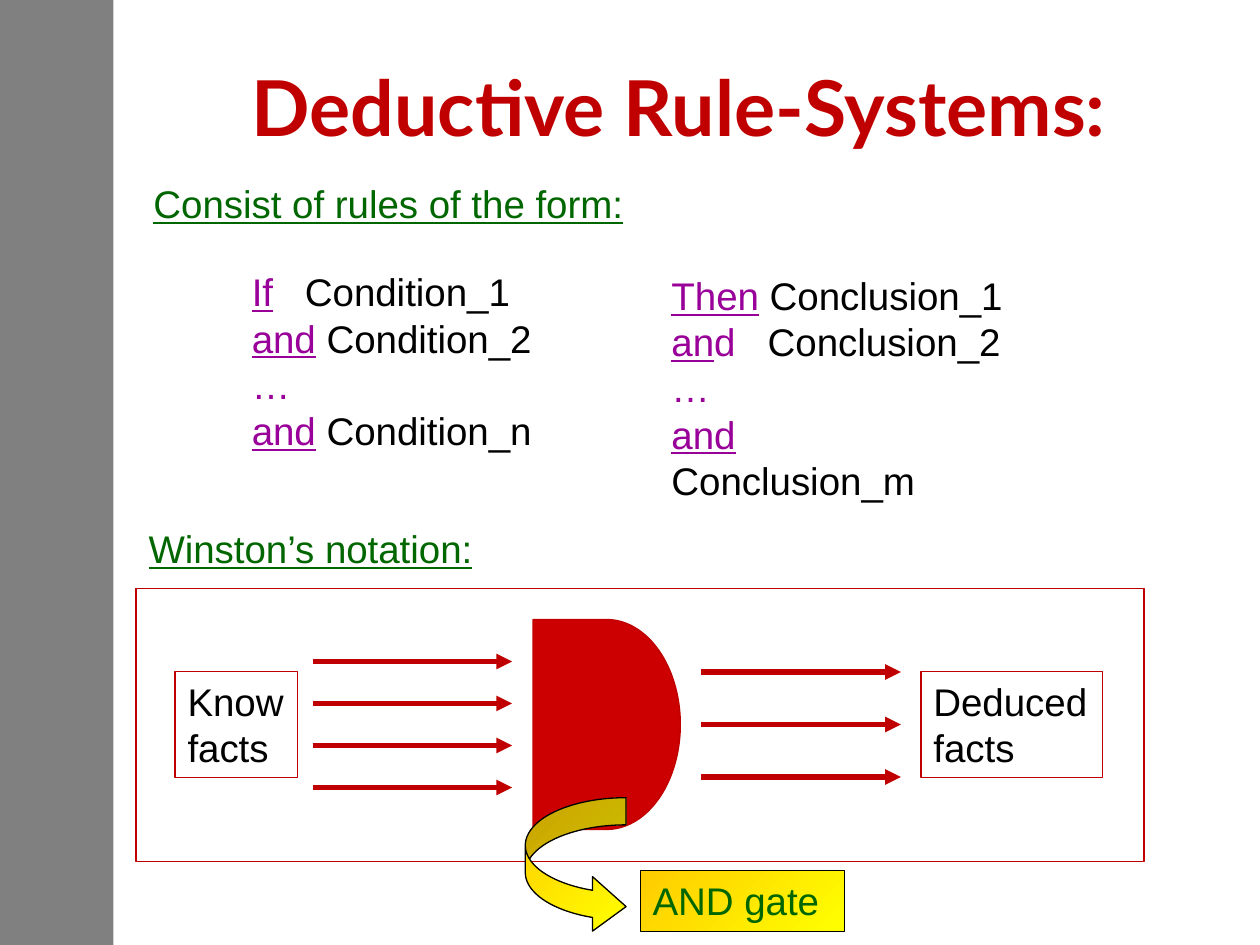
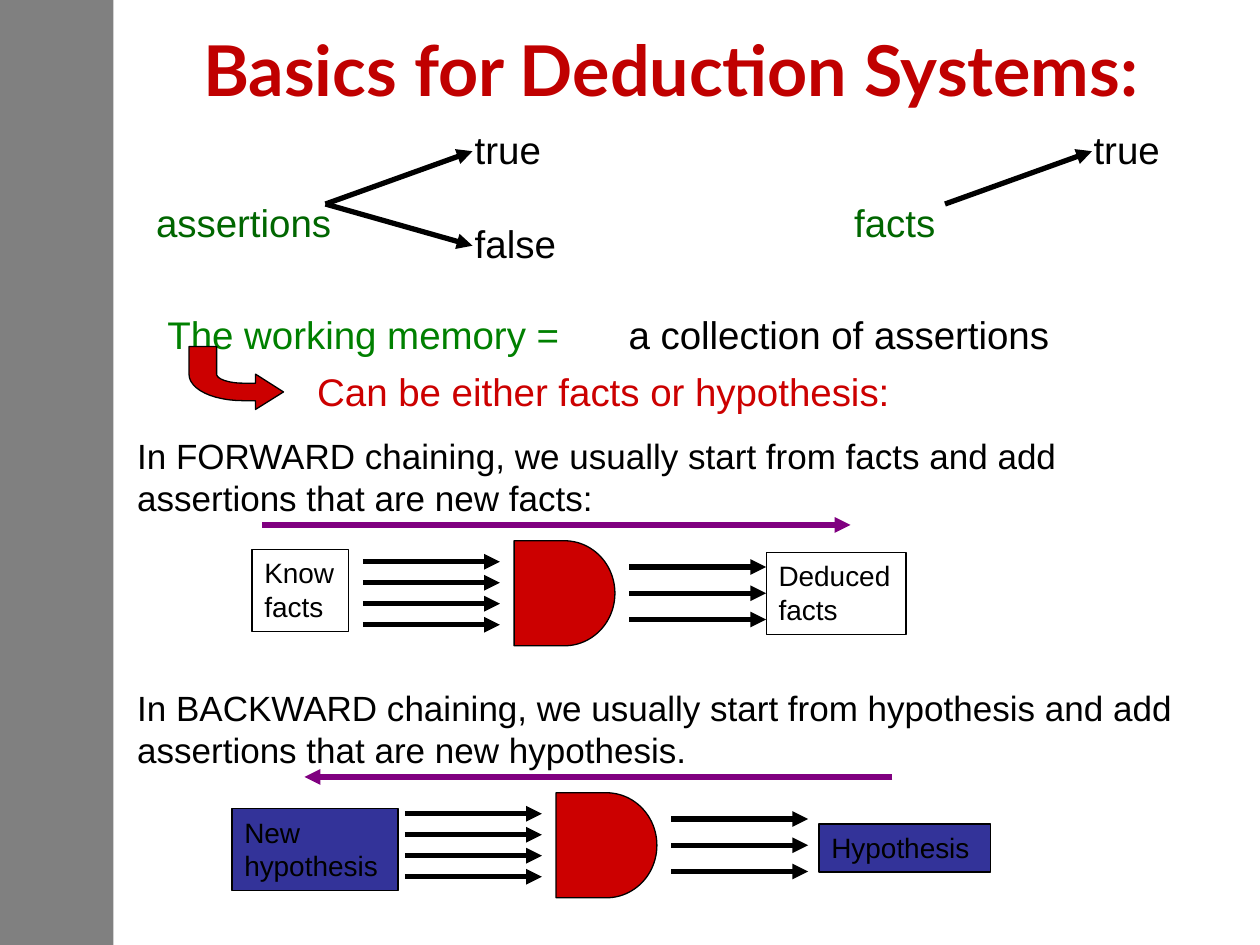
from lxml.etree import SubElement
from pptx import Presentation
from pptx.dml.color import RGBColor
from pptx.enum.shapes import MSO_CONNECTOR as Connector, MSO_SHAPE as Preset
from pptx.enum.text import MSO_ANCHOR as Anchor, MSO_AUTO_SIZE as AutoSize, PP_ALIGN as Align
from pptx.oxml.ns import qn
from pptx.util import Pt

BLACK, WHITE, GRAY = "000000", "FFFFFF", "808080"
TITLE_RED, GATE_RED = "C00000", "CC0000"
GREEN, MEMORY_GREEN = "006600", "008000"
KEYWORD, DIRECTION, HYPOTHESIS = "990099", "800080", "333399"
GOLD = ("FFCC00", "FFFF00")


def rgb(color):
    """Turn a hex string into a colour."""
    return RGBColor.from_string(color)


def paint(shape, fill=None, outline=None):
    """Fill and outline a shape; a pair of colours makes a diagonal gradient."""
    if isinstance(fill, tuple):
        shape.fill.gradient()
        shape.fill.gradient_angle = 315
        for stop, color in zip(shape.fill.gradient_stops, fill):
            stop.color.rgb = rgb(color)
    elif fill:
        shape.fill.solid()
        shape.fill.fore_color.rgb = rgb(fill)
    else:
        shape.fill.background()
    if outline:
        shape.line.color.rgb = rgb(outline)
        shape.line.width = Pt(0.75)
    else:
        shape.line.fill.background()


def add_preset(slide, kind, box, fill=None, outline=None):
    """Add a preset shape without shadow."""
    shape = slide.shapes.add_shape(kind, *map(Pt, box))
    shape.shadow.inherit = False
    paint(shape, fill, outline)
    return shape


def style(font, size, color, underline=False, name="Arial", bold=False):
    """Set all the traits of a font."""
    font.name, font.size, font.bold, font.underline = name, Pt(size), bold, underline
    font.color.rgb = rgb(color)


def add_label(slide, box, text, size=22, color=BLACK, underline=False,
              wrap=False, fill=None, outline=None):
    """Add text of one style, one paragraph per line."""
    label = slide.shapes.add_textbox(*map(Pt, box))
    paint(label, fill, outline)
    frame = label.text_frame
    frame.word_wrap = wrap
    frame.auto_size = AutoSize.SHAPE_TO_FIT_TEXT
    frame.text = text
    for paragraph in frame.paragraphs:
        style(paragraph.font, size, color, underline)
    return label


def add_clauses(slide, box, clauses, tab):
    """Add rule clauses made of (text, colour, underline) runs, with one tab stop."""
    frame = slide.shapes.add_textbox(*map(Pt, box)).text_frame
    frame.word_wrap = True
    for index, clause in enumerate(clauses):
        paragraph = frame.add_paragraph() if index else frame.paragraphs[0]
        stops = SubElement(paragraph._p.get_or_add_pPr(), qn("a:tabLst"))
        SubElement(stops, qn("a:tab"), pos=str(Pt(tab)), algn="l")
        paragraph.font.name, paragraph.font.size = "Arial", Pt(22)
        for text, color, underline in clause:
            if text == "\n":
                paragraph.add_line_break()
                continue
            run = paragraph.add_run()
            run.text = text
            run.font.color.rgb = rgb(color)
            run.font.underline = underline


def add_arrow(slide, start, end, color=BLACK):
    """Add a thick straight arrow."""
    arrow = slide.shapes.add_connector(Connector.STRAIGHT, *map(Pt, start + end))
    arrow.line.color.rgb = rgb(color)
    arrow.line.width = Pt(3)
    SubElement(arrow.line._get_or_add_ln(), qn("a:tailEnd"), type="triangle")
    SubElement(arrow._element.spPr, qn("a:effectLst"))
    return arrow


def add_gate(slide, left, middle, width, height, gap, reach, ink, arrow_ink):
    """Draw an AND gate with four inputs and three outputs; return the outputs."""
    add_preset(slide, Preset.FLOWCHART_DELAY,
               (left, middle - height / 2, width, height), GATE_RED, ink)
    for row in range(4):
        y = middle + (row - 1.5) * height / 5
        add_arrow(slide, (left - gap - reach, y), (left - gap, y), arrow_ink)
    start = left + width + gap
    levels = [middle + row * height / 4 for row in (-1, 0, 1)]
    return [add_arrow(slide, (start, y), (start + reach, y), arrow_ink) for y in levels]


def curve(start, control_1, control_2, end, steps=12):
    """Sample a cubic Bezier curve after its start."""
    points = []
    for step in range(1, steps + 1):
        t = step / steps
        weights = ((1 - t) ** 3, 3 * t * (1 - t) ** 2, 3 * t * t * (1 - t), t ** 3)
        points.append(tuple(
            sum(w * p for w, p in zip(weights, axis))
            for axis in zip(start, control_1, control_2, end)))
    return points


def add_bent_arrow(slide):
    """Draw the red arrow that bends from the working memory to its contents."""
    outline = [(162, 224), (146, 234), (146, 229), (139, 229)]
    outline += curve((139, 229), (121.7, 229), (108, 222.5), (108, 213.8))
    outline += [(108, 198), (123.8, 198), (123.8, 213.8)]
    outline += curve((123.8, 213.8), (123.8, 216.7), (131, 219), (139, 219))
    outline += [(146, 219), (146, 213.8)]
    first, *rest = [(Pt(x), Pt(y)) for x, y in outline]
    builder = slide.shapes.build_freeform(*first)
    builder.add_line_segments(rest, close=True)
    bend = builder.convert_to_shape()
    bend.shadow.inherit = False
    paint(bend, GATE_RED, BLACK)


def add_slide(deck, title, box, size):
    """Add a slide with the gray side band and its title."""
    slide = deck.slides.add_slide(deck.slide_layouts[6])
    add_preset(slide, Preset.RECTANGLE, (0, 0, 64.8, 540), GRAY)
    frame = slide.shapes.add_textbox(*map(Pt, box)).text_frame
    frame.word_wrap = True
    frame.vertical_anchor = Anchor.MIDDLE
    frame.text = title
    heading = frame.paragraphs[0]
    heading.alignment = Align.CENTER
    style(heading.font, size, TITLE_RED, name="Lato", bold=True)
    return slide


def build_rule_systems(deck):
    """Build the slide on the form of rules and their notation."""
    slide = add_slide(deck, "Deductive Rule-Systems:", (82.1, 21.6, 612, 77.8), 44)
    add_label(slide, (80.6, 99.4, 346.3, 33.8), "Consist of rules of the form:",
              color=GREEN, underline=True, wrap=True)
    and_key, dots = ("and", KEYWORD, True), [("…", KEYWORD, False)]
    add_clauses(slide, (136.8, 149.8, 200, 113.8), [
        [("If", KEYWORD, True), ("\tCondition_1", BLACK, False)],
        [and_key, (" Condition_2", BLACK, False)],
        dots,
        [and_key, (" Condition_n", BLACK, False)],
    ], tab=30.4)
    add_clauses(slide, (376.6, 151.9, 212, 140), [
        [("Then", KEYWORD, True), (" Conclusion_1", BLACK, False)],
        [("an", KEYWORD, True), ("d", KEYWORD, False), ("\tConclusion_2", BLACK, False)],
        dots,
        [and_key, ("\n", BLACK, False), ("Conclusion_m", BLACK, False)],
    ], tab=55)
    add_label(slide, (77.8, 296.6, 211.7, 33.8), "Winston’s notation:",
              color=GREEN, underline=True)

    add_preset(slide, Preset.RECTANGLE, (77.8, 336.2, 576, 156.2), outline=TITLE_RED)
    add_gate(slide, 304.6, 414, 84.2, 120, 12, 114, TITLE_RED, TITLE_RED)
    for left, width, facts in ((100.1, 69.8, "Know\nfacts"), (526.3, 103.7, "Deduced\nfacts")):
        add_label(slide, (left, 383.8, width, 60.5), facts, fill=WHITE, outline=TITLE_RED)
    pointer = add_preset(slide, Preset.CURVED_RIGHT_ARROW,
                         (300.2, 455.8, 57.6, 77.8), GOLD, BLACK)
    for index, value in enumerate((0.27, 0.54, 0.333)):
        pointer.adjustments[index] = value
    add_label(slide, (365.8, 497.5, 116.6, 34.6), "AND gate",
              color=GREEN, fill=GOLD, outline=BLACK)


def build_basics(deck):
    """Build the slide on assertions, facts and the two chaining directions."""
    slide = add_slide(deck, "Basics for Deduction Systems:", (71.3, 5.8, 624.2, 66.2), 40)
    add_label(slide, (82.1, 110.2, 120.2, 33.8), "assertions", color=GREEN)
    add_label(slide, (481, 110.2, 69.1, 33.8), "facts", color=GREEN)
    for fork, end in (((186, 116.6), (270, 86.4)),
                      ((186, 116.6), (270, 140.4)),
                      ((540, 116.6), (624, 86.4))):
        add_arrow(slide, fork, end)
    for left, top, width, value in ((264.2, 68.4, 59, "true"),
                                    (264.2, 122.4, 65.5, "false"),
                                    (617.8, 68.4, 59, "true")):
        add_label(slide, (left, top, width, 33.8), value)

    add_label(slide, (88.6, 174.2, 260, 33.8), "The working memory =",
              color=MEMORY_GREEN, wrap=True)
    add_label(slide, (352.1, 174.2, 272.2, 33.8), "a collection of assertions")
    add_bent_arrow(slide)
    add_label(slide, (174.2, 206.6, 366.5, 33.8), "Can be either facts or hypothesis:",
              color=GATE_RED)

    gate_size = (57.6, 60, 8.1, 78.3, BLACK, BLACK)
    boxed = {"size": 16, "outline": BLACK}
    add_label(slide, (71.3, 244.8, 626.4, 55.4),
              "In FORWARD chaining, we usually start from facts and add\n"
              "assertions that are new facts:", size=20, wrap=True)
    outputs = add_gate(slide, 293.8, 339, *gate_size)
    add_label(slide, (144, 313.9, 55.4, 46.8), "Know\nfacts", fill=WHITE, **boxed)
    deduced = add_label(slide, (437.8, 315.6, 79.9, 46.8), "Deduced\nfacts",
                        fill=WHITE, **boxed)
    outputs[1].end_connect(deduced, 1)
    add_arrow(slide, (150, 300), (486, 300), DIRECTION)

    add_label(slide, (71.3, 388.8, 626.4, 55.4),
              "In BACKWARD chaining, we usually start from hypothesis and add "
              "assertions that are new hypothesis.", size=20, wrap=True)
    add_gate(slide, 317.8, 483, *gate_size)
    add_label(slide, (132.5, 462.2, 95, 46.8), "New\nhypothesis", fill=HYPOTHESIS, **boxed)
    add_label(slide, (468, 470.9, 97.9, 27.4), "Hypothesis", fill=HYPOTHESIS, **boxed)
    add_arrow(slide, (510, 444), (174, 444), DIRECTION)


def main():
    """Build and save the deck."""
    deck = Presentation()
    deck.slide_width, deck.slide_height = Pt(720), Pt(540)
    build_rule_systems(deck)
    build_basics(deck)
    deck.save("out.pptx")


if __name__ == "__main__":
    main()
